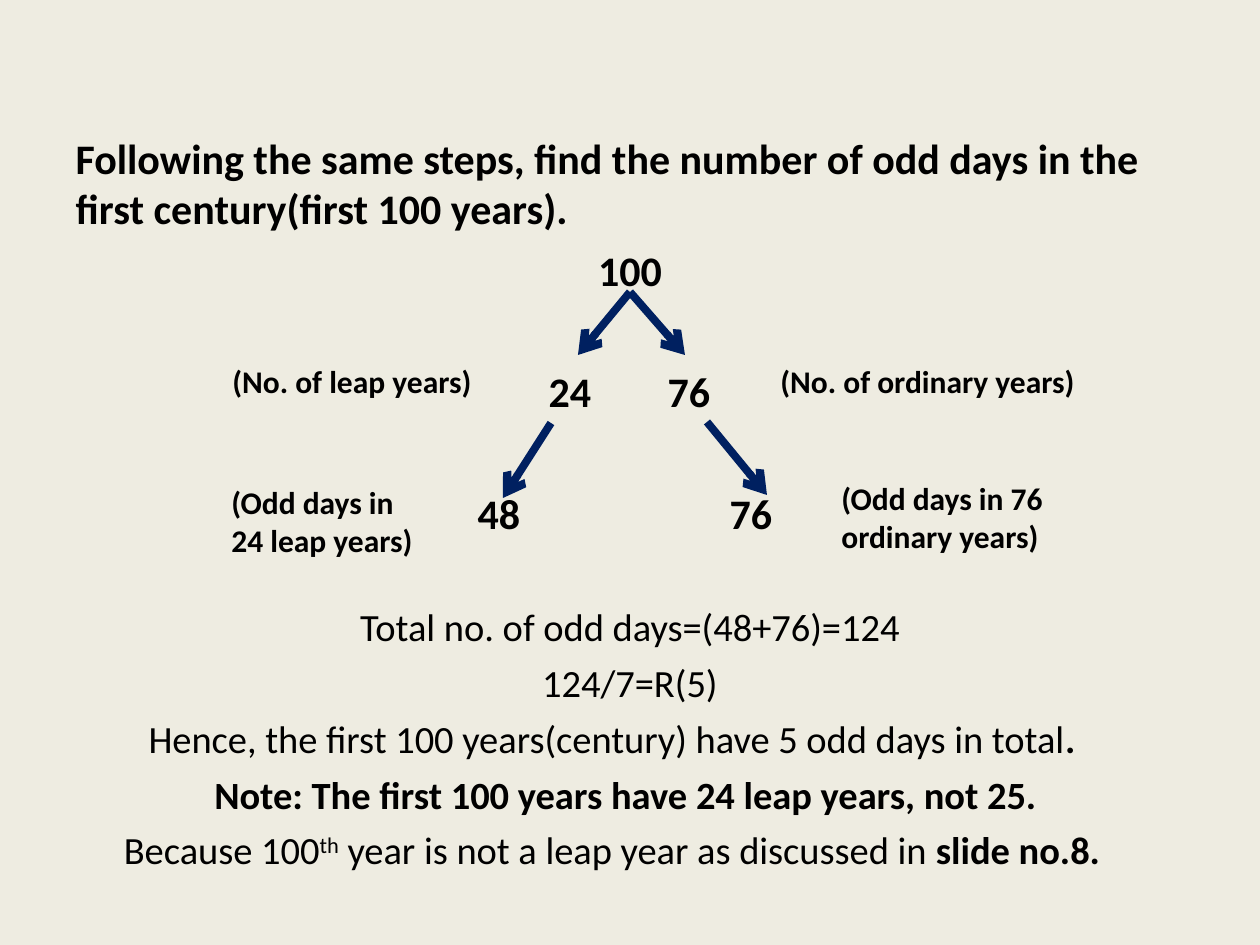
from lxml.etree import SubElement
from pptx import Presentation
from pptx.dml.color import RGBColor
from pptx.enum.shapes import MSO_CONNECTOR
from pptx.enum.text import MSO_ANCHOR, PP_ALIGN
from pptx.oxml.ns import qn
from pptx.util import Pt

PX = 914400 / 126
COLORS = {"background": "EEECE1", "text": "000000", "arrow": "002060"}


def px(*lengths):
    return [round(length * PX) for length in lengths]


def style(paragraph, size, bold):
    for run in paragraph.runs:
        run.font.name = "Calibri"
        run.font.size = Pt(size)
        run.font.bold = bold
        run.font.color.rgb = RGBColor.from_string(COLORS["text"])


deck = Presentation()
deck.slide_width, deck.slide_height = px(1260, 945)
slide = deck.slides.add_slide(deck.slide_layouts[5])
slide.background.fill.solid()
slide.background.fill.fore_color.rgb = RGBColor.from_string(COLORS["background"])

# Question
question = slide.shapes.title
question.left, question.top, question.width, question.height = px(63, 126, 1134, 116)
question.text_frame.text = ("Following the same steps, find the number of odd days "
                            "in the first century(first 100 years).")
question.text_frame.vertical_anchor = MSO_ANCHOR.TOP
question.text_frame.paragraphs[0].alignment = PP_ALIGN.LEFT
style(question.text_frame.paragraphs[0], 24, True)

# Numbers of the tree, each given by its centre
NUMBER_W, NUMBER_H = 100, 44
tree = []
for value, x, y in [("100", 630, 270), ("24", 570, 391), ("76", 689, 391),
                    ("48", 499, 513), ("76", 751, 513)]:
    number = slide.shapes.add_textbox(
        *px(x - NUMBER_W / 2, y - NUMBER_H / 2, NUMBER_W, NUMBER_H))
    frame = number.text_frame
    frame.margin_left = frame.margin_right = 0
    frame.margin_top = frame.margin_bottom = 0
    frame.vertical_anchor = MSO_ANCHOR.MIDDLE
    frame.word_wrap = True
    frame.text = value
    frame.paragraphs[0].alignment = PP_ALIGN.CENTER
    style(frame.paragraphs[0], 24, True)
    tree.append(number)
century = tree[0]

# Arrows of the tree; the upper two start below the century
for start, end in [((630, 292), (578, 355)), ((630, 292), (685, 355)),
                   ((551, 423), (503, 498)), ((707, 422), (767, 495))]:
    arrow = slide.shapes.add_connector(MSO_CONNECTOR.STRAIGHT, *px(*start, *end))
    if start == (630, 292):
        arrow.begin_connect(century, 2)
    arrow.line.color.rgb = RGBColor.from_string(COLORS["arrow"])
    arrow.line.width = Pt(4.5)
    SubElement(arrow.line._get_or_add_ln(), qn("a:tailEnd"), type="arrow")
    SubElement(arrow._element.spPr, qn("a:effectLst"))

# Labels beside the tree
for label, x, y, width, height, wrap in [
        ("(No. of leap years)", 220, 356, 265, 51, False),
        ("(No. of ordinary years)", 768, 356, 320, 51, False),
        ("(Odd days in 24 leap years)", 219, 477, 226, 89, True),
        ("(Odd days in 76 ordinary years)", 829, 473, 326, 89, True)]:
    frame = slide.shapes.add_textbox(*px(x, y, width, height)).text_frame
    frame.word_wrap = wrap
    frame.text = label
    style(frame.paragraphs[0], 18, True)

# Conclusion: runs as (text, bold), with the right indent of each line
conclusion = slide.shapes.add_textbox(*px(63, 597, 1134, 294)).text_frame
conclusion.word_wrap = True
lines = [
    ([("Total no. of odd days=(48+76)=124", False)], 0),
    ([("124/7=R(5)", False)], 0),
    ([("Hence, the first 100 years(century) have 5 odd days in total", False),
      (".", True)], 36),
    ([("Note: The first 100 years have 24 leap years, not 25.", True)], 9),
    ([("Because 100", False), ("th", False),
      (" year is not a leap year as discussed in ", False),
      ("slide no.8.", True)], 36),
]
for index, (parts, right_indent) in enumerate(lines):
    if index == 0:
        paragraph = conclusion.paragraphs[0]
    else:
        paragraph = conclusion.add_paragraph()
        paragraph.space_before = Pt(5.5)
    paragraph.alignment = PP_ALIGN.CENTER
    if right_indent:
        paragraph._p.get_or_add_pPr().set("marR", str(px(right_indent)[0]))
    for text, _ in parts:
        paragraph.add_run().text = text
    style(paragraph, 22, False)
    for run, (text, bold) in zip(paragraph.runs, parts):
        run.font.bold = bold
        if text == "th":
            run._r.get_or_add_rPr().set("baseline", "30000")

deck.save("out.pptx")
